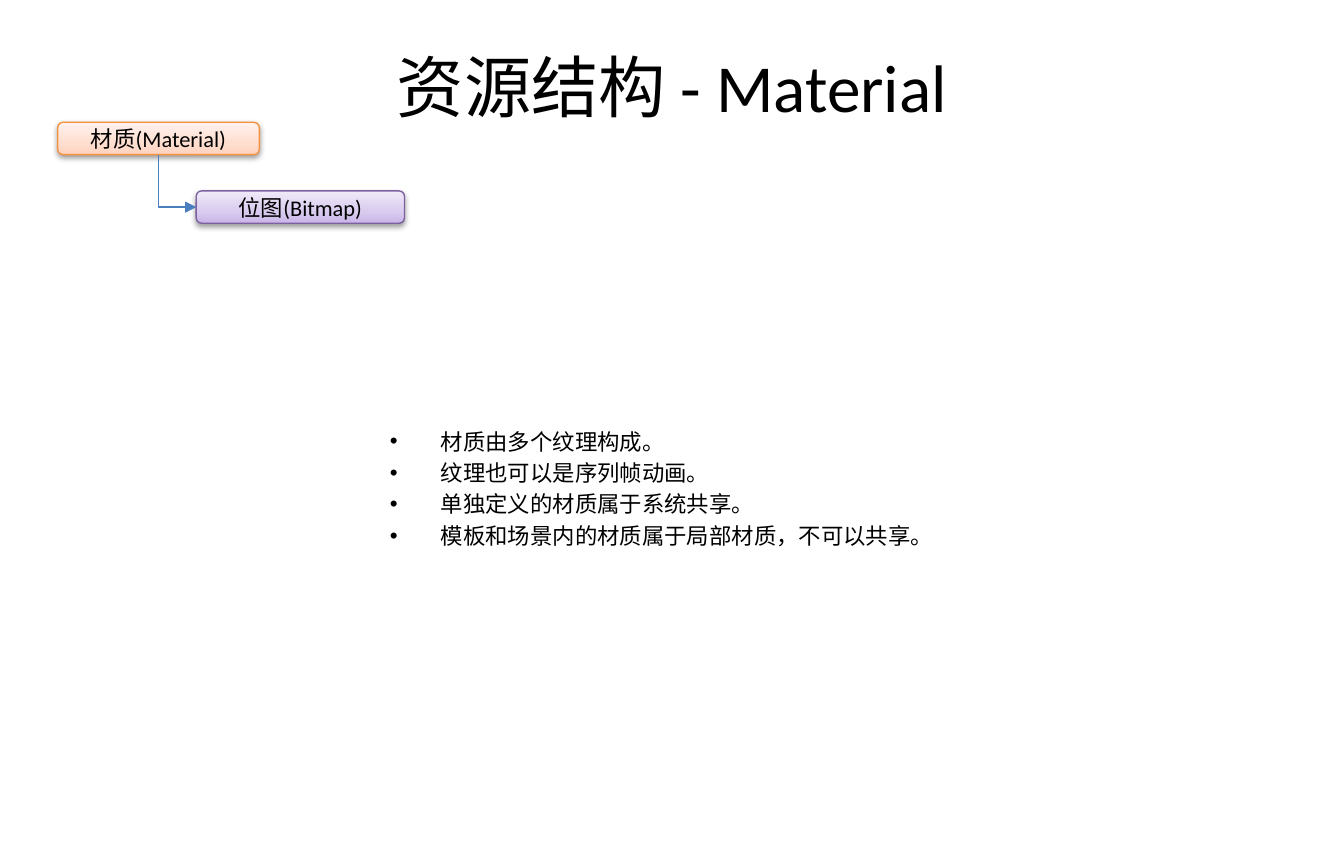
from lxml.etree import SubElement
from copy import deepcopy
from pptx import Presentation
from pptx.dml.color import RGBColor
from pptx.enum.shapes import MSO_CONNECTOR, MSO_SHAPE
from pptx.enum.text import MSO_ANCHOR, MSO_AUTO_SIZE, PP_ALIGN
from pptx.oxml.ns import qn
from pptx.util import Inches, Pt


def rgb(value):
    return RGBColor.from_string(value)


class Deck:
    font = "Calibri"
    text_color = "000000"
    line_color = "4B7EBC"
    line_width = Pt(0.75)
    text_size = 12
    indent = Inches(0.38)

    def __init__(self, width, height):
        self.prs = Presentation()
        self.prs.slide_width = Inches(width)
        self.prs.slide_height = Inches(height)
        self.s = self.prs.slides.add_slide(self.prs.slide_layouts[1])

    def place(self, sp, box):
        sp.left, sp.top, sp.width, sp.height = [Inches(v) for v in box]

    def run(self, p, text, size):
        r = p.add_run()
        r.text = text
        r.font.size = Pt(size)
        r.font.name = self.font
        r.font.color.rgb = rgb(self.text_color)

    def title(self, text, box, size):
        sp = self.s.shapes.title
        self.place(sp, box)
        tf = sp.text_frame
        tf.auto_size = MSO_AUTO_SIZE.NONE
        tf.vertical_anchor = MSO_ANCHOR.MIDDLE
        p = tf.paragraphs[0]
        p.alignment = PP_ALIGN.CENTER
        self.run(p, text, size)

    def bullets(self, items, box):
        sp = self.s.placeholders[1]
        self.place(sp, box)
        tf = sp.text_frame
        tf.auto_size = MSO_AUTO_SIZE.NONE
        for i, item in enumerate(items):
            p = tf.add_paragraph() if i else tf.paragraphs[0]
            pPr = p._p.get_or_add_pPr()
            pPr.set("marL", str(self.indent))
            pPr.set("indent", str(-self.indent))
            self.run(p, item, self.text_size)

    def gradient(self, sp, colors):
        sp.fill.gradient()
        sp.fill.gradient_angle = 90
        stops = sp._element.spPr.find(".//" + qn("a:gsLst"))
        stops.append(deepcopy(stops[0]))
        for stop, pos, color in zip(sp.fill.gradient_stops, (0, 0.35, 1), colors):
            stop.position = pos
            stop.color.rgb = rgb(color)

    def shadow(self, sp):
        sp.shadow.inherit = False
        effects = sp._element.spPr.find(qn("a:effectLst"))
        outer = SubElement(effects, qn("a:outerShdw"), blurRad=str(Pt(3.1)),
                           dist=str(Pt(1.6)), dir="5400000", rotWithShape="0")
        color = SubElement(outer, qn("a:srgbClr"), val="000000")
        SubElement(color, qn("a:alpha"), val="38000")

    def node(self, text, box, colors, line):
        sp = self.s.shapes.add_shape(MSO_SHAPE.ROUNDED_RECTANGLE,
                                     *[Inches(v) for v in box])
        self.gradient(sp, colors)
        sp.line.color.rgb = rgb(line)
        sp.line.width = self.line_width
        self.shadow(sp)
        tf = sp.text_frame
        tf.word_wrap = True
        tf.vertical_anchor = MSO_ANCHOR.MIDDLE
        tf.margin_left = tf.margin_right = tf.margin_top = tf.margin_bottom = 0
        p = tf.paragraphs[0]
        p.alignment = PP_ALIGN.CENTER
        self.run(p, text, self.text_size)
        return sp

    def elbow(self, parent, child):
        x1, y1 = parent.left + parent.width // 2, parent.top + parent.height
        x2, y2 = child.left, child.top + child.height // 2
        cx, cy = (x1 + x2) // 2, (y1 + y2) // 2
        half_w, half_h = (y2 - y1) // 2, (x2 - x1) // 2
        c = self.s.shapes.add_connector(MSO_CONNECTOR.ELBOW, cx + half_w, cy - half_h,
                                        cx - half_w, cy + half_h)
        spPr = c._element.spPr
        spPr.find(qn("a:xfrm")).set("rot", "16200000")
        spPr.find(qn("a:prstGeom")).set("prst", "bentConnector2")
        c.line.color.rgb = rgb(self.line_color)
        c.line.width = self.line_width
        SubElement(spPr.find(qn("a:ln")), qn("a:tailEnd"), type="triangle")
        SubElement(spPr, qn("a:effectLst"))


deck = Deck(10, 6.41)
deck.title("资源结构 - Material", (0.5, 0.26, 9, 0.75), 36)
material = deck.node("材质(Material)", (0.43, 0.91, 1.5, 0.24),
                     ("FFD2BD", "FFDED0", "FFF2ED"), "F69240")
bitmap = deck.node("位图(Bitmap)", (1.46, 1.42, 1.55, 0.24),
                   ("C9B5E8", "D8CBEE", "F0EAF9"), "7D60A0")
deck.elbow(material, bitmap)
deck.bullets(["材质由多个纹理构成。",
              "纹理也可以是序列帧动画。",
              "单独定义的材质属于系统共享。",
              "模板和场景内的材质属于局部材质，不可以共享。"],
             (2.8, 3.13, 6.93, 2.4))
deck.prs.save("out.pptx")
